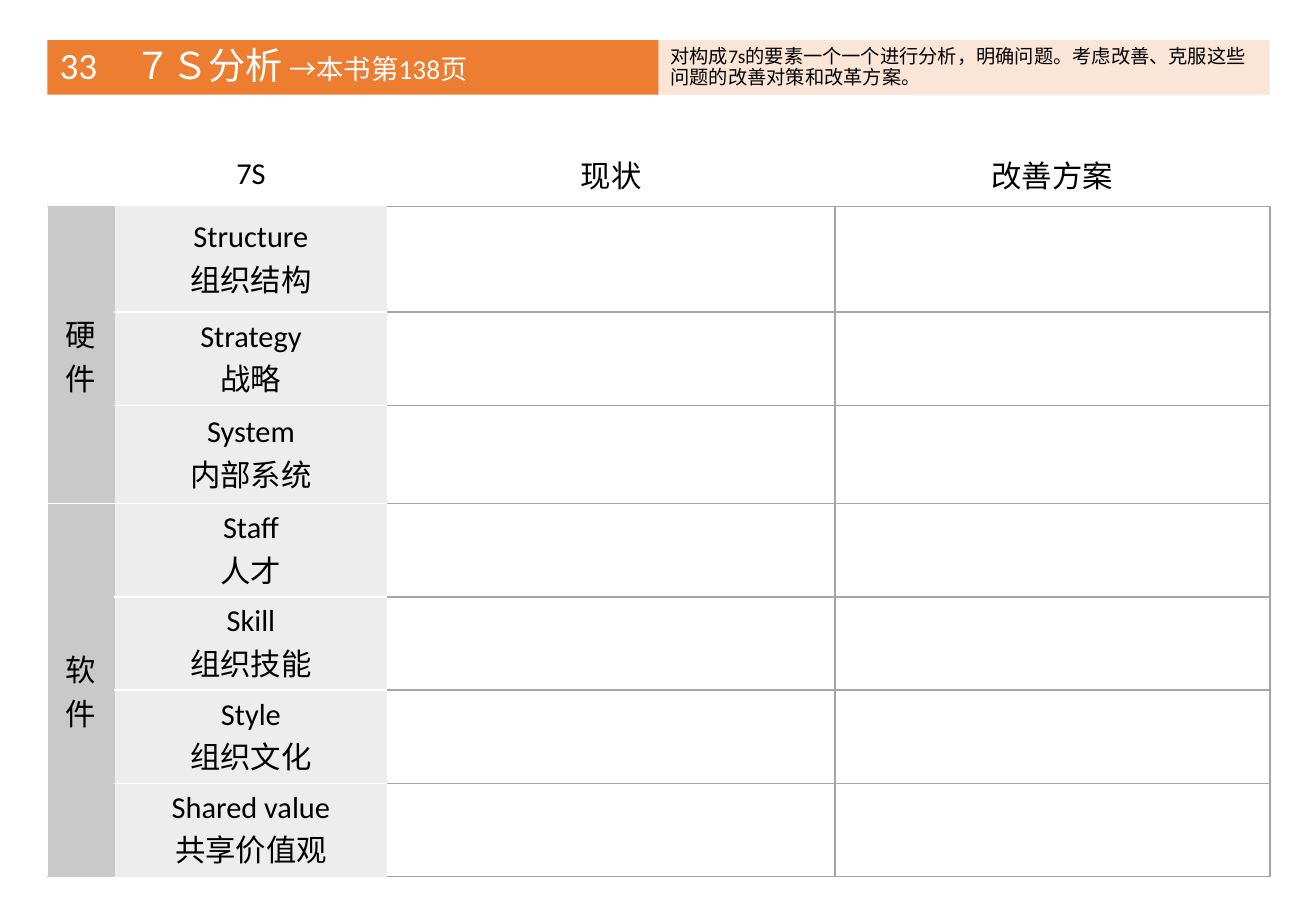
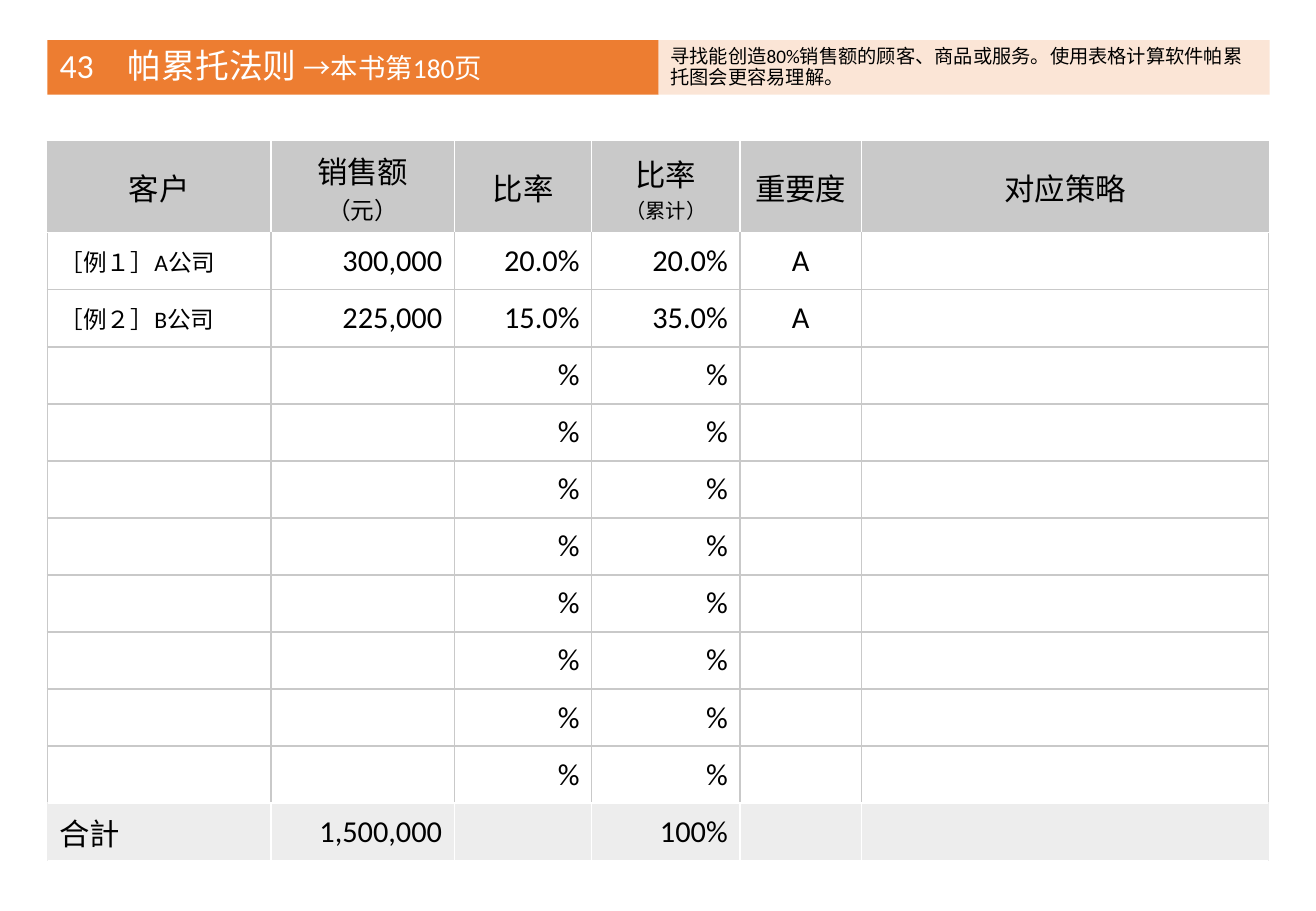
from dataclasses import dataclass
from typing import Callable

from lxml import etree
from pptx import Presentation
from pptx.dml.color import RGBColor
from pptx.enum import text as t
from pptx.oxml.ns import qn
from pptx.util import Inches, Pt

# Shared look
HUES = {
    "band": "ED7D31", "hint": "FBE5D6", "white": "FFFFFF", "black": "000000",
    "mid": "C9C9C9", "pale": "EDEDED", "grey": "A5A5A5",
}
FONT = "Calibri"
LEFT, TOP, HALF, BAND = 0.39, 0.33, 5.03, 0.45
GRID_TOP = 1.17
START, MID, END = t.PP_ALIGN.LEFT, t.PP_ALIGN.CENTER, t.PP_ALIGN.RIGHT


@dataclass
class Run:
    text: str
    size: float = 18


@dataclass
class Cell:
    lines: list[list[Run]]
    fill: str = "white"
    align: t.PP_ALIGN = MID
    upright: bool = False


@dataclass
class Grid:
    cols: list[float]
    rows: list[float]
    cells: list[list[Cell]]
    above: Callable[[int, int], str]   # colour of the line above a cell
    before: Callable[[int, int], str]  # colour of the line left of a cell
    spans: tuple[tuple[int, int], ...] = ()  # first and last row in column 0


def paint(fill, hue: str) -> None:
    fill.solid()
    fill.fore_color.rgb = RGBColor.from_string(HUES[hue])


def write(frame, lines: list[list[Run]], hue: str = "black",
          align: t.PP_ALIGN = START, space: float | None = None) -> None:
    for i, line in enumerate(lines):
        para = frame.paragraphs[0] if i == 0 else frame.add_paragraph()
        para.alignment = align
        if space:
            para.line_spacing = space
        for part in line:
            para.add_run().text = part.text
        alike = len({part.size for part in line}) == 1
        for part, piece in zip(line, [para] if alike else para.runs):
            piece.font.name = FONT
            piece.font.size = Pt(part.size)
            piece.font.color.rgb = RGBColor.from_string(HUES[hue])


def plain(text: str, size: float = 18) -> list[list[Run]]:
    return [[Run(line, size)] for line in text.split("\n")] if text else []


# Heading band with its hint
def band(box, left: float, hue: str, lines: list[list[Run]], ink: str) -> None:
    box.left, box.top = Inches(left), Inches(TOP)
    box.width, box.height = Inches(HALF), Inches(BAND)
    paint(box.fill, hue)
    frame = box.text_frame
    frame.word_wrap = True
    frame.auto_size = t.MSO_AUTO_SIZE.NONE
    frame.vertical_anchor = t.MSO_ANCHOR.MIDDLE
    write(frame, lines, ink, space=0.9)


def head(slide, name: Run, page: str, hint: str) -> None:
    # One 18 pt space parts the name from the page
    title = [[name, Run(" "), Run(page, 16.2)]]
    band(slide.shapes.title, LEFT, "band", title, "white")
    box = slide.shapes.add_textbox(0, 0, Inches(HALF), Inches(BAND))
    band(box, LEFT + HALF, "hint", plain(hint, 11.4), "black")


# Tables
def edge(cell, side: str, hue: str) -> None:
    props = cell._tc.get_or_add_tcPr()
    line = etree.SubElement(props, qn(f"a:ln{side}"), w=str(Pt(1)))
    fill = etree.SubElement(line, qn("a:solidFill"))
    etree.SubElement(fill, qn("a:srgbClr"), val=HUES[hue])


def draw(slide, grid: Grid) -> None:
    table = slide.shapes.add_table(
        len(grid.rows), len(grid.cols), Inches(LEFT), Inches(GRID_TOP),
        Inches(sum(grid.cols)), Inches(sum(grid.rows))).table
    table.first_row = table.horz_banding = False
    for col, width in zip(table.columns, grid.cols):
        col.width = Inches(width)
    for row, height in zip(table.rows, grid.rows):
        row.height = Inches(height)
    for r, row in enumerate(grid.cells):
        for c, item in enumerate(row):
            cell = table.cell(r, c)
            edge(cell, "L", grid.before(r, c))
            edge(cell, "R", grid.before(r, c + 1))
            edge(cell, "T", grid.above(r, c))
            edge(cell, "B", grid.above(r + 1, c))
            paint(cell.fill, item.fill)
            cell.vertical_anchor = t.MSO_ANCHOR.MIDDLE
            if item.upright:
                cell._tc.get_or_add_tcPr().set("vert", "eaVert")
            write(cell.text_frame, item.lines, align=item.align)
    for first, last in grid.spans:
        table.cell(first, 0).merge(table.cell(last, 0))


# Slide 1: the seven S
def seven() -> Grid:
    parts = ["Structure\n组织结构", "Strategy\n战略", "System\n内部系统", "Staff\n人才",
             "Skill\n组织技能", "Style\n组织文化", "Shared value\n共享价值观"]
    groups = {1: "硬件", 4: "软件"}
    cells = [[Cell(plain(x)) for x in ("", "7S", "现状", "改善方案")]]
    for r, part in enumerate(parts, 1):
        side = Cell(plain(groups.get(r, "")), "mid", upright=True)
        cells.append([side, Cell(plain(part), "pale"), Cell([]), Cell([])])

    def above(r: int, c: int) -> str:
        if r == 0:
            return "white"
        if c == 0:
            return "white" if r == 4 else "mid"
        if c == 1:
            return "pale" if r in (1, 8) else "white"
        return "grey"

    def before(r: int, c: int) -> str:
        if r == 0 or c in (0, 2):
            return "white"
        return "mid" if c == 1 else "grey"

    rows = [0.53, 0.87, 0.75, 0.81] + [0.75] * 4
    return Grid([0.55, 2.25, 3.68, 3.58], rows, cells, above, before,
                ((1, 3), (4, 7)))


# Slide 2: sales by customer
def sales() -> Grid:
    heads = [plain("客户"), [[Run("销售额"), Run("（元）", 14)]], plain("比率"),
             plain("比率") + plain("（累计）", 12), plain("重要度"), plain("对应策略")]
    aligns = [START, END, END, END, MID, MID]
    body = [["［例１］A公司", "300,000", "20.0%", "20.0%", "A", ""],
            ["［例２］B公司", "225,000", "15.0%", "35.0%", "A", ""]]
    body += [["", "", "%", "%", "", ""]] * 8
    body.append(["合計", "1,500,000", "", "100%", "", ""])
    last = len(body)
    cells = [[Cell(lines, "mid") for lines in heads]]
    for r, row in enumerate(body, 1):
        fill = "pale" if r == last else "white"
        cells.append([
            Cell(plain(x, 14 if c == 0 and r < last else 18), fill, aligns[c])
            for c, x in enumerate(row)])

    def above(r: int, c: int) -> str:
        return "white" if r in (1, last, last + 1) else "mid"

    def before(r: int, c: int) -> str:
        if r in (0, last) and 0 < c < len(heads):
            return "white"
        return "pale" if r == last else "mid"

    return Grid([1.84, 1.51, 1.13, 1.22, 1, 3.35], [0.74] + [0.47] * last,
                cells, above, before)


def main() -> None:
    deck = Presentation()
    deck.slide_width, deck.slide_height = Inches(10.83), Inches(7.5)
    pages = [
        (Run("33　７Ｓ分析", 22), "→本书第138页",
         "对构成7s的要素一个一个进行分析，明确问题。考虑改善、克服这些问题的改善对策和改革方案。",
         seven()),
        (Run("43　帕累托法则", 20), "→本书第180页",
         "寻找能创造80%销售额的顾客、商品或服务。使用表格计算软件帕累托图会更容易理解。",
         sales()),
    ]
    for name, page, hint, grid in pages:
        slide = deck.slides.add_slide(deck.slide_layouts[5])
        head(slide, name, page, hint)
        draw(slide, grid)
    deck.save("out.pptx")


if __name__ == "__main__":
    main()
